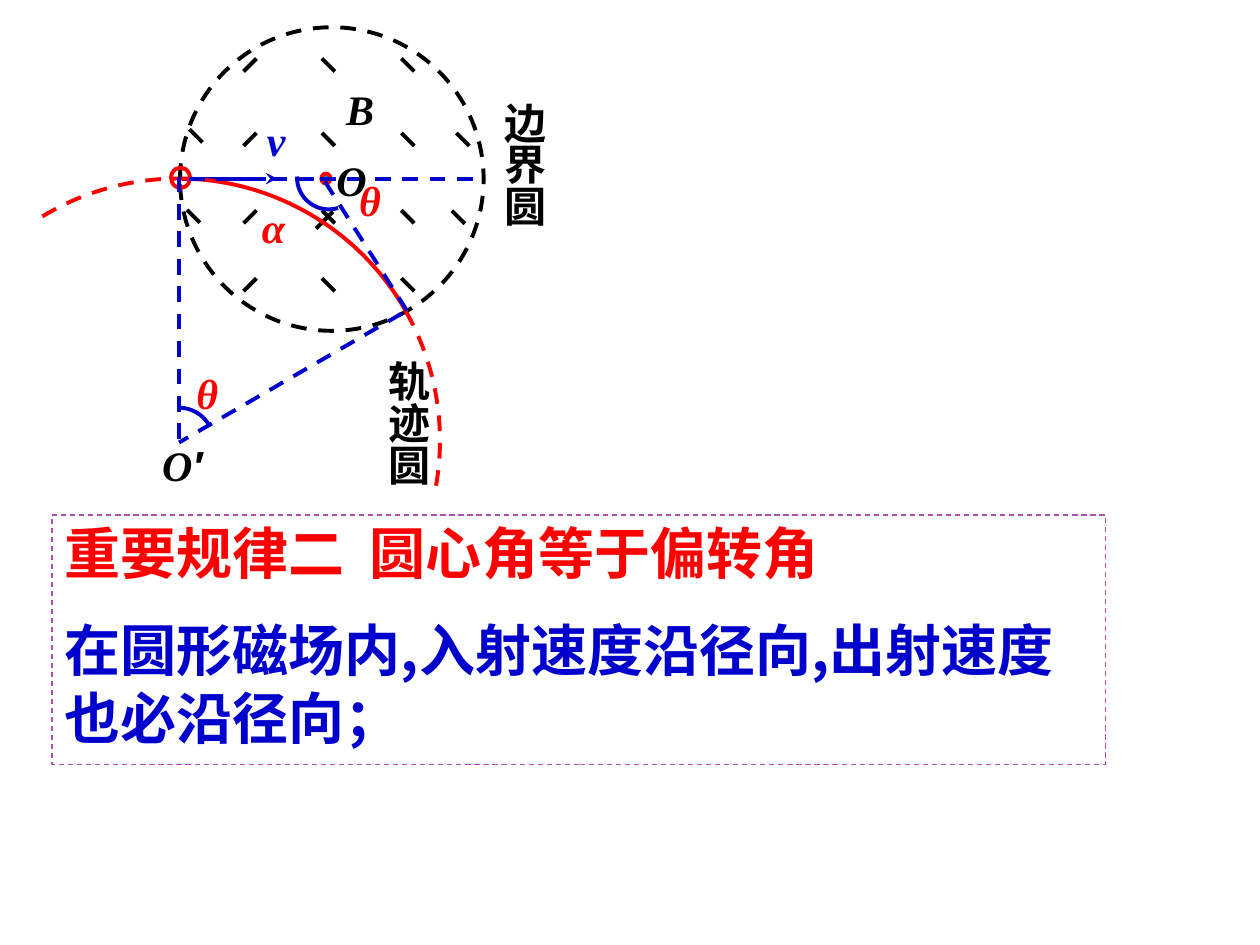
import copy
import math

import pptx
import pptx.dml.color
import pptx.enum.dml
import pptx.enum.shapes
import pptx.enum.text
import pptx.oxml
import pptx.oxml.ns
import pptx.util

Cm, Pt = pptx.util.Cm, pptx.util.Pt
KIND = pptx.enum.shapes.MSO_SHAPE
ALIGN = pptx.enum.text.PP_ALIGN
DASH = pptx.enum.dml.MSO_LINE.DASH
NS = pptx.oxml.ns.nsdecls("a")

BLACK, RED, BLUE = "000000", "FF0000", "0000CC"
SERIF, SANS, HAN = "Times New Roman", "DejaVu Sans", "Noto Sans CJK SC"
ITALIC = dict(size=Pt(24), bold=True, italic=True)
UPRIGHT = dict(size=Pt(24), bold=True)
TITLE = dict(size=Pt(32), bold=True)


def apply(obj, values):
    for key, value in values.items():
        setattr(obj, key, value)


def node(text):
    return pptx.oxml.parse_xml(text)


def rgb(code):
    return pptx.dml.color.RGBColor.from_string(code)


def stroke(line, color, dash=None, width=2.25):
    line.fill.solid()
    line.color.rgb = rgb(color)
    apply(line, dict(width=Pt(width), dash_style=dash))


def draw(slide, start, end, color, dash=None, arrow=False):
    """Straight line between two points."""
    ends = [Cm(v) for v in (*start, *end)]
    item = slide.shapes.add_connector(pptx.enum.shapes.MSO_CONNECTOR.STRAIGHT, *ends)
    stroke(item.line, color, dash)
    if arrow:
        item.line._get_or_add_ln().append(node(f'<a:tailEnd {NS} type="stealth"/>'))
    item._element.spPr.append(node(f"<a:effectLst {NS}/>"))


def shape(slide, kind, box, color, fill=None, **look):
    item = slide.shapes.add_shape(kind, *[Cm(v) for v in box])
    item.shadow.inherit = False
    if fill:
        item.fill.solid()
        item.fill.fore_color.rgb = rgb(fill)
    else:
        item.fill.background()
    stroke(item.line, color, **look)
    return item


def arc(slide, mid, rad, first, last, color, dash=None, tip=None):
    """Arc as one curve, with its unstroked sector; degrees clockwise from up."""
    turns = [math.radians(v) for v in (first, last)]
    pull = 4 / 3 * math.tan((turns[1] - turns[0]) / 4)

    def spot(turn, lean):
        sin, cos = math.sin(turn), math.cos(turn)
        return (Cm(mid[0] + rad * (sin + lean * cos)),
                Cm(mid[1] - rad * (cos - lean * sin)))

    tip = tip or mid
    build = slide.shapes.build_freeform(*spot(turns[0], 0))
    build.add_line_segments([spot(turns[0], pull), spot(turns[1], -pull),
                             spot(turns[1], 0), (Cm(tip[0]), Cm(tip[1]))], close=False)
    item = build.convert_to_shape()
    item.shadow.inherit = False
    item.fill.background()
    stroke(item.line, color, dash)

    # Turn the first three segments into a curve
    path = item._element.xpath(".//a:path")[0]
    curve = node(f"<a:cubicBezTo {NS}/>")
    legs = path.xpath("a:lnTo")
    path.insert(1, curve)
    for leg in legs[:3]:
        curve.append(leg[0])
        path.remove(leg)
    sector = copy.deepcopy(path)
    sector.set("stroke", "0")
    sector.append(node(f"<a:close {NS}/>"))
    path.addnext(sector)
    path.remove(legs[3])
    path.set("fill", "none")


def write(para, text, color, face, style):
    run = para.add_run()
    run.text = text
    apply(run.font, dict(style, name=face))
    run.font.color.rgb = rgb(color)
    run._r.get_or_add_rPr().append(node(f'<a:ea {NS} typeface="{face}"/>'))


def label(slide, box, text, color, face=SERIF, style=ITALIC,
          wrap=True, align=ALIGN.LEFT, vert=False):
    frame = slide.shapes.add_textbox(*[Cm(v) for v in box]).text_frame
    frame.word_wrap = wrap
    if vert:
        frame._txBody.bodyPr.set("vert", "eaVert")
    para = frame.paragraphs[0]
    para.alignment = align
    write(para, text, color, face, style)
    return para


def field(slide):
    """Boundary circle with its field marks."""
    shape(slide, KIND.OVAL, (3.63, 0.55, 6.12, 6.12), BLACK, dash=DASH)
    marks = [(x, y, 0.13, lean) for x, lean in ((5.04, -1), (6.62, 1), (8.22, 1))
             for y in (1.31, 2.81, 4.37, 5.74)]
    marks += [(x, y, 0.13, 1) for x, y in
              ((9.24, 4.38), (9.33, 2.81), (3.9, 4.36), (3.95, 2.74))]
    marks.append((6.54, 4.44, 0.17, -1))
    for x, y, half, lean in marks:
        draw(slide, (x - half, y - lean * half), (x + half, y + lean * half), BLACK)


def track(slide):
    """Particle path, radii and angles."""
    draw(slide, (3.66, 3.6), (5.59, 3.6), BLUE, arrow=True)
    shape(slide, KIND.OVAL, (6.48, 3.5, 0.18, 0.2), RED, "009999")
    shape(slide, KIND.OVAL, (3.45, 3.38, 0.38, 0.41), RED)
    for first, last, dash in ((-31.2, 0.5, DASH), (0.5, 60.5, None), (60.5, 101.5, DASH)):
        arc(slide, (3.59, 8.88), 5.28, first, last, RED, dash)
    for start, end in (((3.81, 3.6), (6.6, 3.6)), ((6.45, 3.6), (9.65, 3.6)),
                       ((6.55, 3.66), (8.26, 6.35)), ((3.61, 3.56), (3.61, 8.94)),
                       ((8.1, 6.32), (3.61, 8.92))):
        draw(slide, start, end, BLUE, DASH)
    arc(slide, (6.63, 3.58), 0.64, 272, 163, BLUE, tip=(6.53, 3.68))
    arc(slide, (3.61, 8.92), 0.7, 0, 60, BLUE, tip=(4.01, 9.47))


def names(slide):
    """Symbols and upright captions."""
    label(slide, (6.73, 1.55, 1.3, 1.27), "B", BLACK)
    label(slide, (5.13, 2.18, 1.12, 1.27), "v", BLUE)
    label(slide, (6.53, 3, 1.12, 1.27), "O", BLACK)
    label(slide, (5.03, 3.94, 1.8, 1.6), "α", RED)
    label(slide, (3.71, 7.29, 1.8, 1.6), "θ", RED)
    label(slide, (6.99, 3.39, 1.37, 1.27), "θ", RED, wrap=False)
    para = label(slide, (3.02, 8.74, 2.39, 1.68), "O", BLACK, align=ALIGN.JUSTIFY)
    write(para, "′", BLACK, "Arial", ITALIC)
    label(slide, (9.68, 1.81, 1.52, 3.4), "边界圆", BLACK, SANS, UPRIGHT,
          align=ALIGN.CENTER, vert=True)
    label(slide, (7.34, 7.02, 1.52, 2.74), "轨迹圆", BLACK, SANS, UPRIGHT,
          wrap=False, vert=True)


def rule(slide):
    """Framed statement of the rule."""
    item = shape(slide, KIND.RECTANGLE, (1.05, 10.38, 21.24, 5.03), "B14DB3",
                 dash=DASH, width=0.75)
    frame = item.text_frame
    apply(frame, dict(word_wrap=True, margin_top=Cm(0.06),
                      vertical_anchor=pptx.enum.text.MSO_ANCHOR.TOP))
    rows = (("重要规律二  圆心角等于偏转角", RED, 0),
            ("在圆形磁场内,入射速度沿径向,出射速度也必沿径向；", BLUE, 16))
    for i, (text, color, gap) in enumerate(rows):
        para = frame.add_paragraph() if i else frame.paragraphs[0]
        apply(para, dict(alignment=ALIGN.LEFT, line_spacing=Pt(39), space_before=Pt(gap)))
        write(para, text, color, HAN, TITLE)


def main():
    deck = pptx.Presentation()
    apply(deck, dict(slide_width=Cm(25.4), slide_height=Cm(19.05)))
    slide = deck.slides.add_slide(deck.slide_layouts[6])
    for part in (field, track, names, rule):
        part(slide)
    deck.save("out.pptx")


if __name__ == "__main__":
    main()
